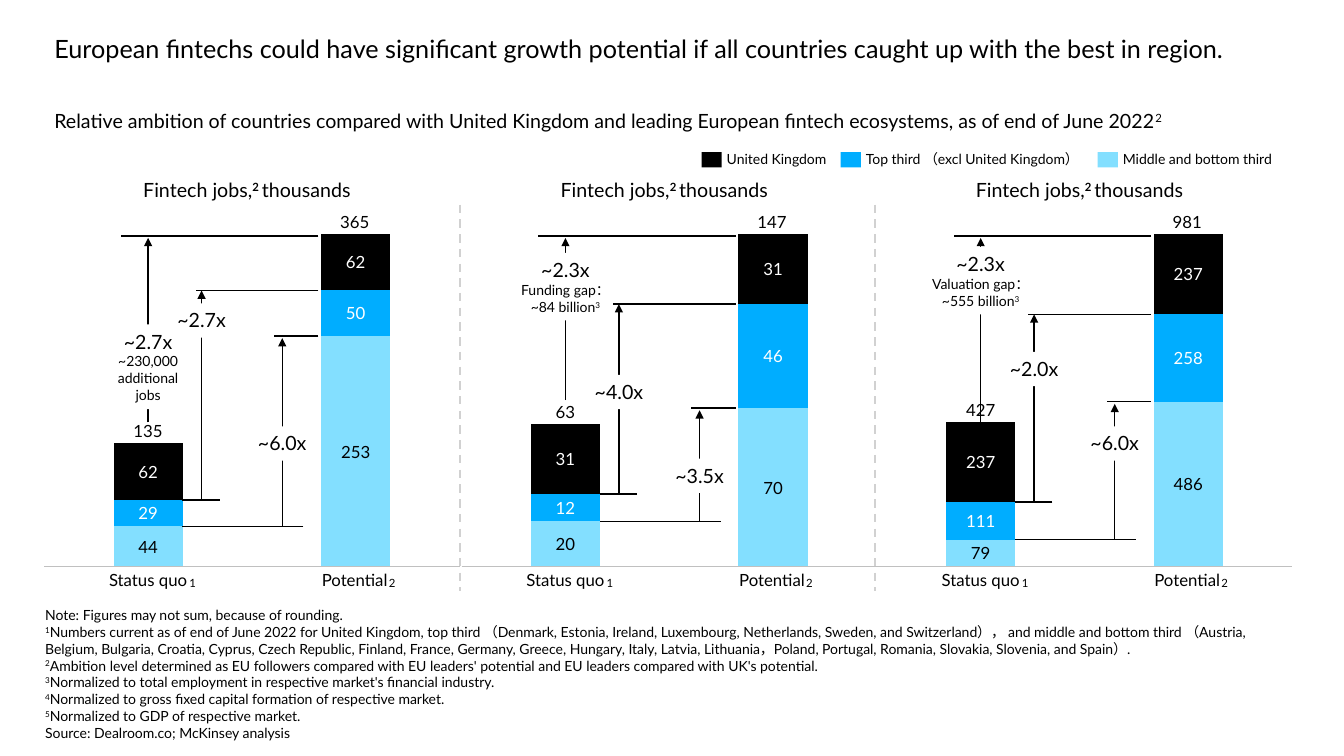
from lxml import etree
from pptx import Presentation
from pptx.chart.data import CategoryChartData
from pptx.dml.color import RGBColor
from pptx.enum.chart import XL_CHART_TYPE, XL_TICK_LABEL_POSITION, XL_TICK_MARK
from pptx.enum.dml import MSO_LINE
from pptx.enum.shapes import MSO_CONNECTOR, MSO_SHAPE
from pptx.enum.text import MSO_ANCHOR, PP_ALIGN
from pptx.oxml import parse_xml
from pptx.oxml.ns import nsdecls, qn
from pptx.util import Pt

BLACK = RGBColor(0x00, 0x00, 0x00)
WHITE = RGBColor(0xFF, 0xFF, 0xFF)
BLUE = RGBColor(0x00, 0xAD, 0xFF)
SKY = RGBColor(0x83, 0xDF, 0xFF)
AXIS_GREY = RGBColor(0xC0, 0xC0, 0xC0)
DIVIDER_GREY = RGBColor(0xD1, 0xD1, 0xD1)
LEFT, CENTER = PP_ALIGN.LEFT, PP_ALIGN.CENTER
TOP, MIDDLE, BOTTOM = MSO_ANCHOR.TOP, MSO_ANCHOR.MIDDLE, MSO_ANCHOR.BOTTOM
RECTANGLE = MSO_SHAPE.RECTANGLE
STRAIGHT = MSO_CONNECTOR.STRAIGHT
DASH = MSO_LINE.DASH
STACKED = XL_CHART_TYPE.COLUMN_STACKED
NO_LABELS = XL_TICK_LABEL_POSITION.NONE
NO_TICKS = XL_TICK_MARK.NONE
FONT = "Lato"

deck = Presentation()
deck.slide_width, deck.slide_height = Pt(960), Pt(540)
page = deck.slides.add_slide(deck.slide_layouts[5])
shapes = page.shapes


def write(box, lines, align=LEFT, anchor=TOP, wrap=False, tight=False):
    frame = box.text_frame
    frame.word_wrap = wrap
    frame.vertical_anchor = anchor
    if tight:
        frame.margin_left = frame.margin_right = 0
        frame.margin_top = frame.margin_bottom = 0
    for index, line in enumerate(lines):
        para = frame.add_paragraph() if index else frame.paragraphs[0]
        para.alignment = align
        if tight:
            para.line_spacing = 0.9
        for text, size, raised in line:
            span = para.add_run()
            span.text = text
            span.font.name = FONT
            span.font.size = Pt(size)
            span.font.color.rgb = BLACK
            if raised:
                span.font.bold = raised == "bold"
                span._r.get_or_add_rPr().set("baseline", "30000")


def draw_line(x1, y1, x2, y2, color=BLACK, width=1, arrow=False):
    line = shapes.add_connector(STRAIGHT, Pt(x1), Pt(y1), Pt(x2), Pt(y2))
    line.line.color.rgb = color
    line.line.width = Pt(width)
    if arrow:
        etree.SubElement(line.line._get_or_add_ln(), qn("a:tailEnd"), type="triangle")
    etree.SubElement(line._element.spPr, qn("a:effectLst"))
    return line


title = shapes.title
title.left, title.top, title.width, title.height = Pt(31.7), Pt(20.2), Pt(891.4), Pt(51)
write(title, [[("European fintechs could have significant growth potential if all countries caught up with the best in region.", 18, None)]], wrap=True)

subtitle = shapes.add_textbox(Pt(31.7), Pt(74.2), Pt(891.4), Pt(24.5))
write(subtitle, [[
    ("Relative ambition of countries compared with United Kingdom and leading European fintech ecosystems, as of end of June 2022", 14, None),
    ("2", 14, "plain"),
]], wrap=True)

legend = [
    (501.1, 76, BLACK, "United Kingdom"),
    (600.5, 165, BLUE, "Top third （excl United Kingdom）"),
    (784.1, 115, SKY, "Middle and bottom third"),
]
for left, width, color, name in legend:
    swatch = shapes.add_shape(RECTANGLE, Pt(left), Pt(108.7), Pt(14.4), Pt(10.8))
    swatch.shadow.inherit = False
    swatch.fill.solid()
    swatch.fill.fore_color.rgb = color
    swatch.line.fill.background()
    label = shapes.add_textbox(Pt(left + 18), Pt(108.7), Pt(width), Pt(10.8))
    write(label, [[(name, 10, None)]], anchor=MIDDLE, tight=True)

CHART_TOP, CHART_WIDTH, CHART_HEIGHT = 146.2, 309.6, 279.4
PLOT = {"x": 0.021, "y": 0.075, "w": 0.958, "h": 0.85}
BASELINE = CHART_TOP + CHART_HEIGHT * (PLOT["y"] + PLOT["h"])
PLOT_HEIGHT = CHART_HEIGHT * PLOT["h"]
STATUS_X, POTENTIAL_X = 80.6, 228.2
LINE_END, STATUS_EDGE = 202.3, 105.1
MIDDLE_ARROW, LOWER_ARROW = 118.8, 176.4
COLORS = [SKY, BLUE, BLACK]
LABEL_COLORS = [BLACK, WHITE, WHITE]

panels = [
    dict(left=25.2, status=[44, 29, 62], potential=[253, 50, 62], arrow_foot=301.7,
         gap=(231.8, 59.8, 60.5), ratio="~2.7x",
         gap_lines=[[("~230,000", 10, None)], [("additional", 10, None)], [("jobs", 10, None)]],
         multiples=[("~2.7x", 216.7), ("~6.0x", 304.6)]),
    dict(left=323.3, status=[20, 12, 31], potential=[70, 46, 31], arrow_foot=285.8,
         gap=(180.7, 82.1, 48.2), ratio="~2.3x",
         gap_lines=[[("Funding gap：", 10, None)], [("~84 billion", 10, None), ("3", 10, "plain")]],
         multiples=[("~4.0x", 267.8), ("~3.5x", 327.6)]),
    dict(left=619.9, status=[79, 111, 237], potential=[486, 258, 237], arrow_foot=301.7,
         gap=(176.4, 87.8, 48.2), ratio="~2.3x",
         gap_lines=[[("Valuation gap：", 10, None)], [("~555 billion", 10, None), ("3", 10, "plain")]],
         multiples=[("~2.0x", 251.3), ("~6.0x", 304.6)]),
]

for number, panel in enumerate(panels):
    left, status, potential = panel["left"], panel["status"], panel["potential"]
    total = sum(potential)
    scale = PLOT_HEIGHT / total

    heading = shapes.add_textbox(Pt(left + 70), Pt(123.8), Pt(171.4), Pt(24.5))
    write(heading, [[("Fintech jobs,", 14, None), ("2 ", 14, "bold"), ("thousands", 14, None)]])

    data = CategoryChartData()
    data.categories = ["1", "2"]
    for index, pair in enumerate(zip(status, potential), 1):
        data.add_series(f"Series {index}", pair)
    chart = shapes.add_chart(STACKED, Pt(left), Pt(CHART_TOP), Pt(CHART_WIDTH), Pt(CHART_HEIGHT), data).chart
    chart.has_legend = chart.has_title = False
    chart.font.name, chart.font.size, chart.font.color.rgb = FONT, Pt(12), BLACK
    plot = chart.plots[0]
    plot.gap_width, plot.overlap, plot.vary_by_categories = 200, 100, False
    for series, color, label_color in zip(plot.series, COLORS, LABEL_COLORS):
        series.format.fill.solid()
        series.format.fill.fore_color.rgb = color
        labels = series.data_labels
        labels.show_value = True
        labels.font.name, labels.font.size, labels.font.color.rgb = FONT, Pt(12), label_color
    categories, values = chart.category_axis, chart.value_axis
    categories.tick_label_position = NO_LABELS
    categories.major_tick_mark = categories.minor_tick_mark = NO_TICKS
    categories.format.line.color.rgb = AXIS_GREY
    categories.format.line.width = Pt(0.75)
    values.minimum_scale, values.maximum_scale = 0, total
    values.has_major_gridlines = False
    values.visible = False
    places = "".join(f'<c:{key} val="{value}"/>' for key, value in PLOT.items())
    layout = parse_xml(
        f'<c:layout {nsdecls("c")}><c:manualLayout><c:layoutTarget val="inner"/>'
        f'<c:xMode val="edge"/><c:yMode val="edge"/>{places}</c:manualLayout></c:layout>')
    plot_area = chart._chartSpace.chart.plotArea
    for old_layout in plot_area.findall(qn("c:layout")):
        plot_area.remove(old_layout)
    plot_area.insert(0, layout)

    columns = [
        ("Status quo", STATUS_X, 59, sum(status), "1", 103),
        ("Potential", POTENTIAL_X, 48.2, total, "2", 245.5),
    ]
    for name, center, width, amount, mark, mark_left in columns:
        label = shapes.add_textbox(Pt(left + center - width / 2), Pt(408.6), Pt(width), Pt(13))
        write(label, [[(name, 12, None)]], CENTER, tight=True)
        sum_label = shapes.add_textbox(Pt(left + center - 11.5), Pt(BASELINE - amount * scale - 14.5), Pt(23), Pt(13))
        write(sum_label, [[(str(amount), 12, None)]], CENTER, BOTTOM, tight=True)
        note_mark = shapes.add_textbox(Pt(left + mark_left), Pt(406.4), Pt(19.4), Pt(18.7))
        write(note_mark, [[(mark, 14, "plain")]])

    top_line = BASELINE - PLOT_HEIGHT + 1.4
    draw_line(left + LINE_END, top_line, left + 61.2, top_line)
    draw_line(left + STATUS_X, panel["arrow_foot"], left + STATUS_X, top_line + 1.4, arrow=True)

    gap_top, gap_width, gap_height = panel["gap"]
    callouts = [(STATUS_X, gap_top, gap_width, gap_height, [[(panel["ratio"], 14, None)]] + panel["gap_lines"])]
    for center, (text, top) in zip([MIDDLE_ARROW, LOWER_ARROW], panel["multiples"]):
        callouts.append((center, top, 49.7, 24.5, [[(text, 14, None)]]))
    brackets = [None, (2, 131.8, 114.5, 0), (1, 191.5, 170.6, 1.5)]
    for bracket, (center, top, width, height, lines) in zip(brackets, callouts):
        if bracket:
            count, foot_end, head_end, clearance = bracket
            foot = BASELINE - sum(status[:count]) * scale
            head = BASELINE - sum(potential[:count]) * scale
            draw_line(left + foot_end, foot, left + STATUS_EDGE, foot)
            draw_line(left + LINE_END, head, left + head_end, head)
            draw_line(left + center, foot, left + center, head + clearance, arrow=True)
        callout = shapes.add_shape(RECTANGLE, Pt(left + center - width / 2), Pt(top), Pt(width), Pt(height))
        callout.shadow.inherit = False
        callout.fill.solid()
        callout.fill.fore_color.rgb = WHITE
        callout.line.fill.background()
        write(callout, lines, CENTER)

    if number:
        divider = draw_line(left + 5, 146.2, left + 5, 421.9, DIVIDER_GREY, 1.5)
        divider.line.dash_style = DASH

notes = [
    ("", "Note: Figures may not sum, because of rounding."),
    ("1", "Numbers current as of end of June 2022 for United Kingdom, top third （Denmark, Estonia, Ireland, Luxembourg, Netherlands, Sweden, and Switzerland）， and middle and bottom third （Austria, Belgium, Bulgaria, Croatia, Cyprus, Czech Republic, Finland, France, Germany, Greece, Hungary, Italy, Latvia, Lithuania，Poland, Portugal, Romania, Slovakia, Slovenia, and Spain）."),
    ("2", "Ambition level determined as EU followers compared with EU leaders' potential and EU leaders compared with UK's potential."),
    ("3", "Normalized to total employment in respective market's financial industry."),
    ("4", "Normalized to gross fixed capital formation of respective market."),
    ("5", "Normalized to GDP of respective market."),
    ("", "Source: Dealroom.co; McKinsey analysis"),
]
footnotes = shapes.add_textbox(Pt(25.2), Pt(429.8), Pt(910.8), Pt(104.4))
write(footnotes, [([(mark, 10, "plain")] if mark else []) + [(text, 10, None)] for mark, text in notes], wrap=True)

deck.save("out.pptx")
